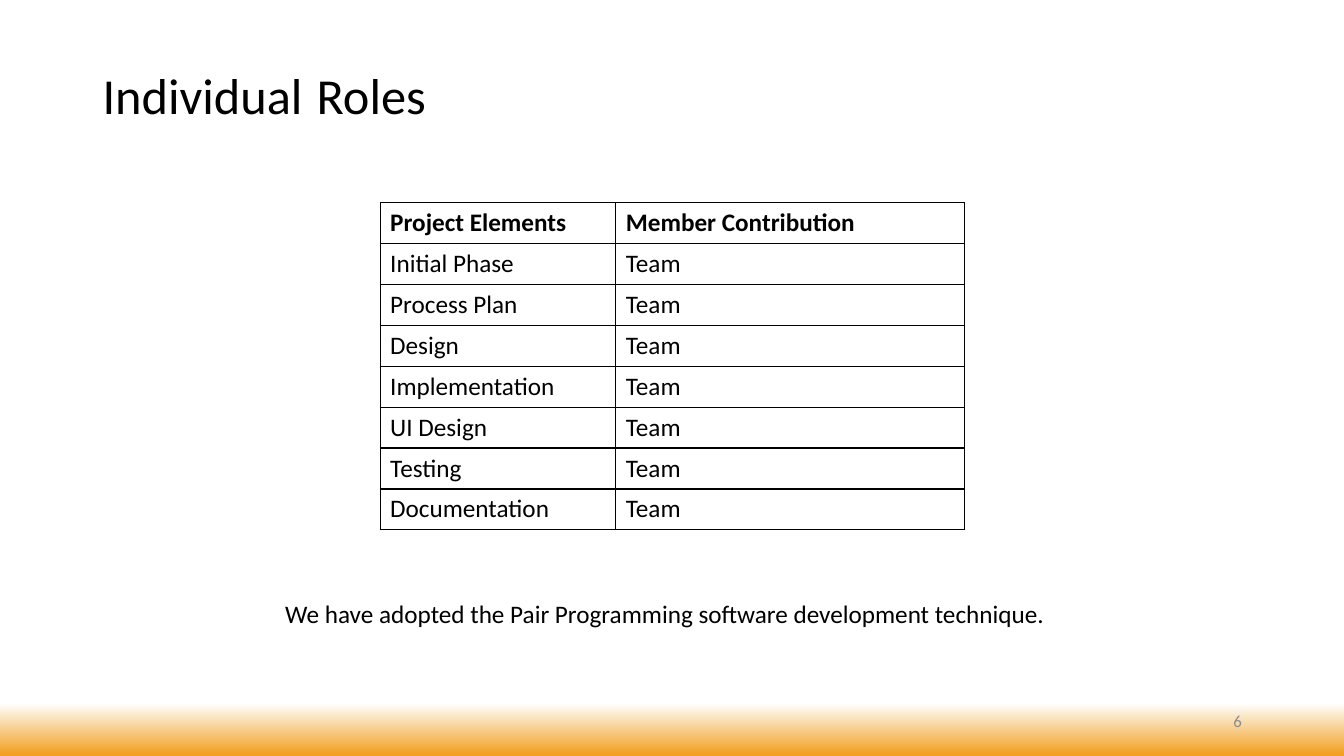
from dataclasses import dataclass

from lxml import etree
from pptx import Presentation
from pptx.dml.color import RGBColor
from pptx.enum.text import MSO_ANCHOR, PP_ALIGN
from pptx.oxml.ns import qn
from pptx.util import Cm, Pt

LEFT, CENTER, RIGHT = PP_ALIGN.LEFT, PP_ALIGN.CENTER, PP_ALIGN.RIGHT
TOP, MIDDLE = MSO_ANCHOR.TOP, MSO_ANCHOR.MIDDLE
TITLE_ONLY = 5


@dataclass(frozen=True)
class Theme:
    font: str = "Calibri"
    ink: str = "000000"
    muted: str = "8C8C8C"
    paper: str = "FFFFFF"
    glow: str = "F19D19"
    title_size: int = 36
    title_gap_size: int = 44
    body_size: int = 18
    number_size: int = 12
    border: float = 1


theme = Theme()

TITLE_WORDS = ("Individual", "Roles")
HEADER = ("Project Elements", "Member Contribution")
ELEMENTS = ("Initial Phase", "Process Plan", "Design", "Implementation",
            "UI Design", "Testing", "Documentation")
CONTRIBUTOR = "Team"
TECHNIQUE = "We have adopted the Pair Programming software development technique."
PAGE_NUMBER = "6"

COLUMN_WIDTHS = (5.94, 8.79)
ROW_HEIGHT = 1.03
TABLE_LEFT, TABLE_TOP = 9.58, 5.11


def style(span, size, color=theme.ink, bold=False):
    span.font.name = theme.font
    span.font.size = Pt(size)
    span.font.bold = bold
    span.font.color.rgb = RGBColor.from_string(color)


def paint_background(page):
    fill = page.background.fill
    fill.gradient()
    fill.gradient_angle = 270
    for stop, position, color in zip(fill.gradient_stops, (0.93, 1), (theme.paper, theme.glow)):
        stop.position = position
        stop.color.rgb = RGBColor.from_string(color)


def add_title(page):
    title = page.shapes.title
    title.left, title.top, title.width, title.height = Cm(2.33), Cm(1.02), Cm(29.21), Cm(2.74)
    title.text_frame.vertical_anchor = MIDDLE
    para = title.text_frame.paragraphs[0]
    para.alignment = LEFT
    para.line_spacing = 0.9
    first, last = TITLE_WORDS
    for text, size in ((first, theme.title_size), (" ", theme.title_gap_size),
                       (last, theme.title_size)):
        span = para.add_run()
        span.text = text
        style(span, size)


def add_borders(cell):
    properties = cell._tc.get_or_add_tcPr()
    for index, side in enumerate(("a:lnL", "a:lnR", "a:lnT", "a:lnB")):
        line = etree.Element(qn(side), w=str(Pt(theme.border)))
        fill = etree.SubElement(line, qn("a:solidFill"))
        etree.SubElement(fill, qn("a:srgbClr"), val=theme.ink)
        properties.insert(index, line)


def add_roles(page):
    rows = [HEADER] + [(element, CONTRIBUTOR) for element in ELEMENTS]
    frame = page.shapes.add_table(len(rows), len(HEADER), Cm(TABLE_LEFT), Cm(TABLE_TOP),
                                  Cm(sum(COLUMN_WIDTHS)), Cm(ROW_HEIGHT * len(rows)))
    table = frame.table
    table.horz_banding = False
    for column, width in zip(table.columns, COLUMN_WIDTHS):
        column.width = Cm(width)
    for row_index, texts in enumerate(rows):
        table.rows[row_index].height = Cm(ROW_HEIGHT)
        for column_index, text in enumerate(texts):
            cell = table.cell(row_index, column_index)
            cell.text = text
            cell.fill.background()
            add_borders(cell)
            style(cell.text_frame.paragraphs[0].runs[0], theme.body_size, bold=row_index == 0)


def add_label(page, text, place, alignment, anchor, size, color):
    box = page.shapes.add_textbox(*map(Cm, place))
    box.text_frame.word_wrap = True
    box.text_frame.vertical_anchor = anchor
    box.text_frame.text = text
    para = box.text_frame.paragraphs[0]
    para.alignment = alignment
    style(para.runs[0], size, color)


deck = Presentation()
deck.slide_width, deck.slide_height = Cm(33.87), Cm(19.05)
page = deck.slides.add_slide(deck.slide_layouts[TITLE_ONLY])
paint_background(page)
add_title(page)
add_roles(page)
add_label(page, PAGE_NUMBER, (23.93, 17.65, 7.62, 1.02), RIGHT, MIDDLE,
          theme.number_size, theme.muted)
add_label(page, TECHNIQUE, (3.05, 14.94, 27.41, 1.02), CENTER, TOP,
          theme.body_size, theme.ink)
deck.save("out.pptx")
